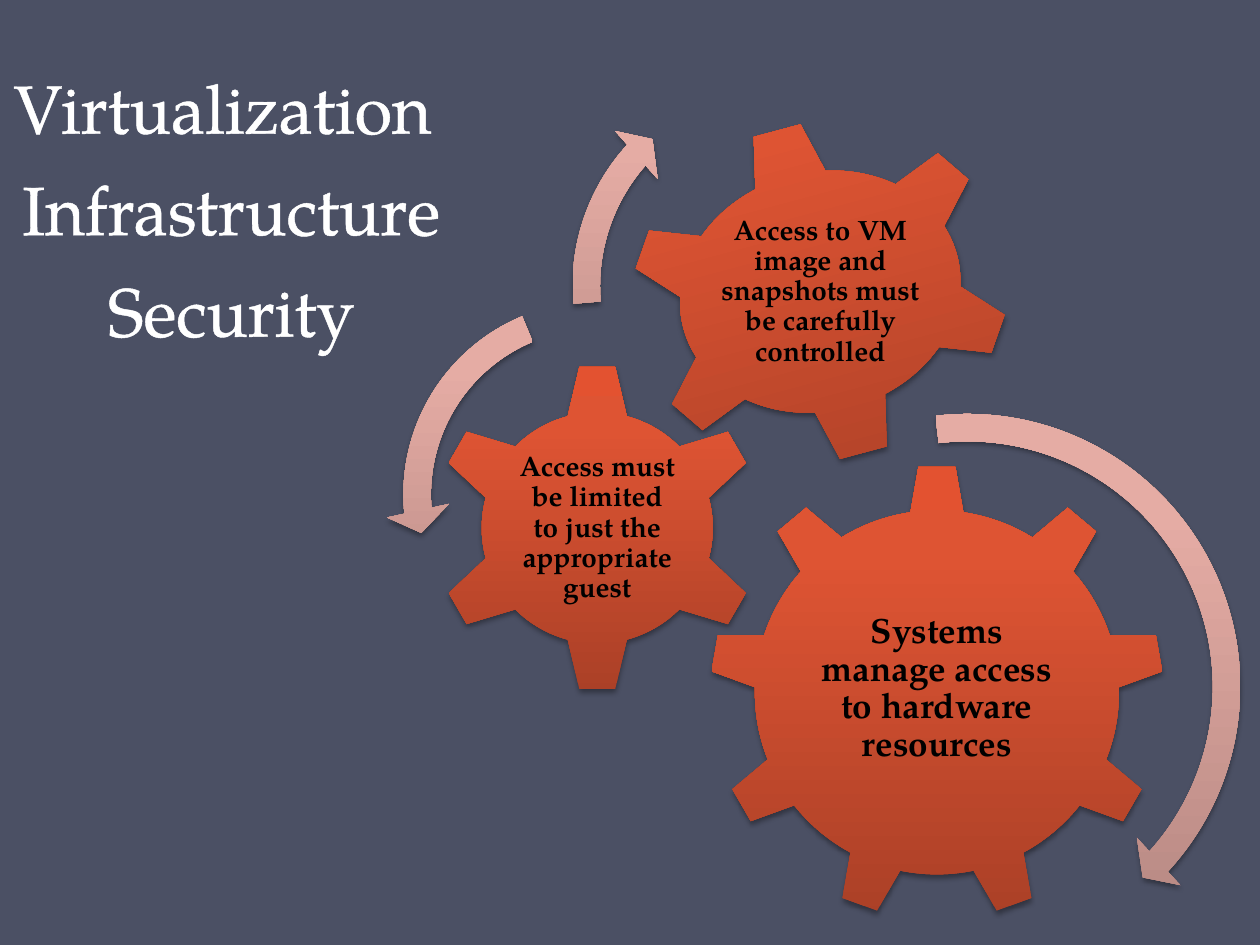
import copy
import dataclasses

import lxml.etree
import pptx
import pptx.dml.color
import pptx.enum.shapes
import pptx.enum.text
import pptx.oxml.ns
import pptx.util

Pt = pptx.util.Pt
Kind = pptx.enum.shapes.MSO_SHAPE
qn = pptx.oxml.ns.qn


@dataclasses.dataclass(frozen=True)
class Theme:
    """Colours and type sizes of the slide."""
    font: str = "TeX Gyre Pagella"
    background: str = "4B5064"
    title: str = "FFFFFF"
    label: str = "000000"
    shadow: str = "000000"
    gear: tuple = ((0, "AB4027"), (0.8, "DE5433"), (1, "E35230"))
    arrow: tuple = ((0, "B1847F"), (0.8, "E5ACA4"), (1, "E8ACA4"))
    title_size: float = 39
    title_spacing: float = 58
    large: float = 20
    small: float = 16


@dataclasses.dataclass(frozen=True)
class Box:
    """A rectangle in points."""
    left: float
    top: float
    width: float
    height: float

    def inner(self, left, top, width, height):
        """Return a box placed relative to this one."""
        return Box(self.left + left, self.top + top, width, height)

    def centred(self, width, height, lift=0):
        """Return a box in the middle of this one, raised by lift."""
        return self.inner((self.width - width) / 2,
                          (self.height - height) / 2 - lift, width, height)

    def lengths(self):
        """Return left, top, width and height as lengths."""
        return [Pt(value) for value in dataclasses.astuple(self)]


THEME = Theme()


def rgb(value):
    """Return the colour of a hex string."""
    return pptx.dml.color.RGBColor.from_string(value)


def add_span(para, text, size, colour, bold=False):
    """Add one formatted run to a paragraph."""
    span = para.add_run()
    span.text = text
    span.font.name = THEME.font
    span.font.size = Pt(size)
    span.font.bold = bold
    span.font.color.rgb = rgb(colour)
    return span


def add_solid(parent, colour):
    """Append a solid fill to an XML element and return its colour element."""
    solid = lxml.etree.SubElement(parent, qn("a:solidFill"))
    return lxml.etree.SubElement(solid, qn("a:srgbClr"), val=colour)


def prepare_frame(frame, anchor):
    """Set wrapping, fitting and anchoring of a text frame."""
    frame.word_wrap = True
    frame.auto_size = pptx.enum.text.MSO_AUTO_SIZE.NONE
    frame.vertical_anchor = anchor
    para = frame.paragraphs[0]
    para.alignment = pptx.enum.text.PP_ALIGN.CENTER
    return para


def place_title(page, box, lines):
    """Move and format the title placeholder."""
    title = page.shapes.title
    title.left, title.top, title.width, title.height = box.lengths()
    para = prepare_frame(title.text_frame, pptx.enum.text.MSO_ANCHOR.BOTTOM)
    para.line_spacing = Pt(THEME.title_spacing)
    for index, line in enumerate(lines):
        if index:
            para.add_line_break()
        span = add_span(para, line, THEME.title_size, THEME.title)
        outline = lxml.etree.Element(qn("a:ln"), w=str(Pt(1.45)))
        add_solid(outline, THEME.title)
        span.font._element.insert(0, outline)


def add_shaded(group, kind, box, stops):
    """Add a preset shape with a vertical gradient and a soft shadow."""
    shape = group.shapes.add_shape(kind, *box.lengths())
    shape.fill.gradient()
    shape.fill.gradient_angle = 90
    properties = shape._element.spPr
    stop_list = properties.find(".//" + qn("a:gsLst"))
    stop_list.append(copy.deepcopy(stop_list[1]))
    for stop, (position, colour) in zip(shape.fill.gradient_stops, stops):
        stop.position = position
        stop.color.rgb = rgb(colour)
    shape.line.fill.background()
    shape.shadow.inherit = False
    effects = properties.find(qn("a:effectLst"))
    shadow = lxml.etree.SubElement(
        effects, qn("a:outerShdw"), blurRad=str(Pt(3.1)), dist=str(Pt(1.8)),
        dir="5400000", rotWithShape="0")
    colour = lxml.etree.SubElement(shadow, qn("a:srgbClr"), val=THEME.shadow)
    lxml.etree.SubElement(colour, qn("a:alpha"), val="35000")
    return shape


def place_gear(group, kind, box, label_box, text, size, inset, rotation=0):
    """Place a gear and its upright label."""
    add_shaded(group, kind, box, THEME.gear).rotation = rotation
    frame = group.shapes.add_textbox(*label_box.lengths()).text_frame
    para = prepare_frame(frame, pptx.enum.text.MSO_ANCHOR.MIDDLE)
    frame.margin_left = frame.margin_right = Pt(inset)
    frame.margin_top = frame.margin_bottom = Pt(inset)
    para.line_spacing = 0.9
    add_span(para, text, size, THEME.label, bold=True)


def place_arrow(group, kind, box, adjustments):
    """Place a curved arrow."""
    arrow = add_shaded(group, kind, box, THEME.arrow)
    for index, value in enumerate(adjustments):
        arrow.adjustments[index] = value


def place_diagram(page, box):
    """Place the three gears and the arrows turning around them."""
    group = page.shapes.add_group_shape()
    hardware = box.inner(185.4, 232.7, 260, 260)
    guest = box.inner(27, 174.4, 188.6, 188.6)
    image = box.inner(138.6, 36.1, 220.3, 195.1)
    place_gear(group, Kind.GEAR_9, hardware, hardware.centred(155.5, 133.2, 2.2),
               "Systems manage access to hardware resources", THEME.large, 2)
    place_gear(group, Kind.GEAR_6, guest, guest.centred(93.6, 92.9),
               "Access must be limited to just the appropriate guest",
               THEME.small, 1.6)
    place_gear(group, Kind.GEAR_6, image, image.centred(121, 112.3),
               "Access to VM image and snapshots must be carefully controlled",
               THEME.small, 1.6, rotation=345)
    arrows = (
        (Kind.CIRCULAR_ARROW, 166.6, 193.1, 332.6,
         (0.047, 2.99, 25.472, 157.96, 0.055)),
        (Kind.LEFT_CIRCULAR_ARROW, 0.3, 129, 241.2,
         (0.065, 4.3, 104.891, 148.378, 0.075)),
        (Kind.CIRCULAR_ARROW, 96.8, 0.1, 260.6,
         (0.06, 3.941, 133.138, 105.082, 0.07)),
    )
    for kind, left, top, side, adjustments in arrows:
        place_arrow(group, kind, box.inner(left, top, side, side), adjustments)


def main():
    """Build and save the deck."""
    deck = pptx.Presentation()
    deck.slide_width, deck.slide_height = Pt(720), Pt(540)
    page = deck.slides.add_slide(deck.slide_layouts[5])
    page.background.fill.solid()
    page.background.fill.fore_color.rgb = rgb(THEME.background)
    place_title(page, Box(0, 21.6, 264.2, 182.2),
                ("Virtualization ", "Infrastructure Security"))
    place_diagram(page, Box(220, 33, 500, 507))
    deck.save("out.pptx")


if __name__ == "__main__":
    main()
